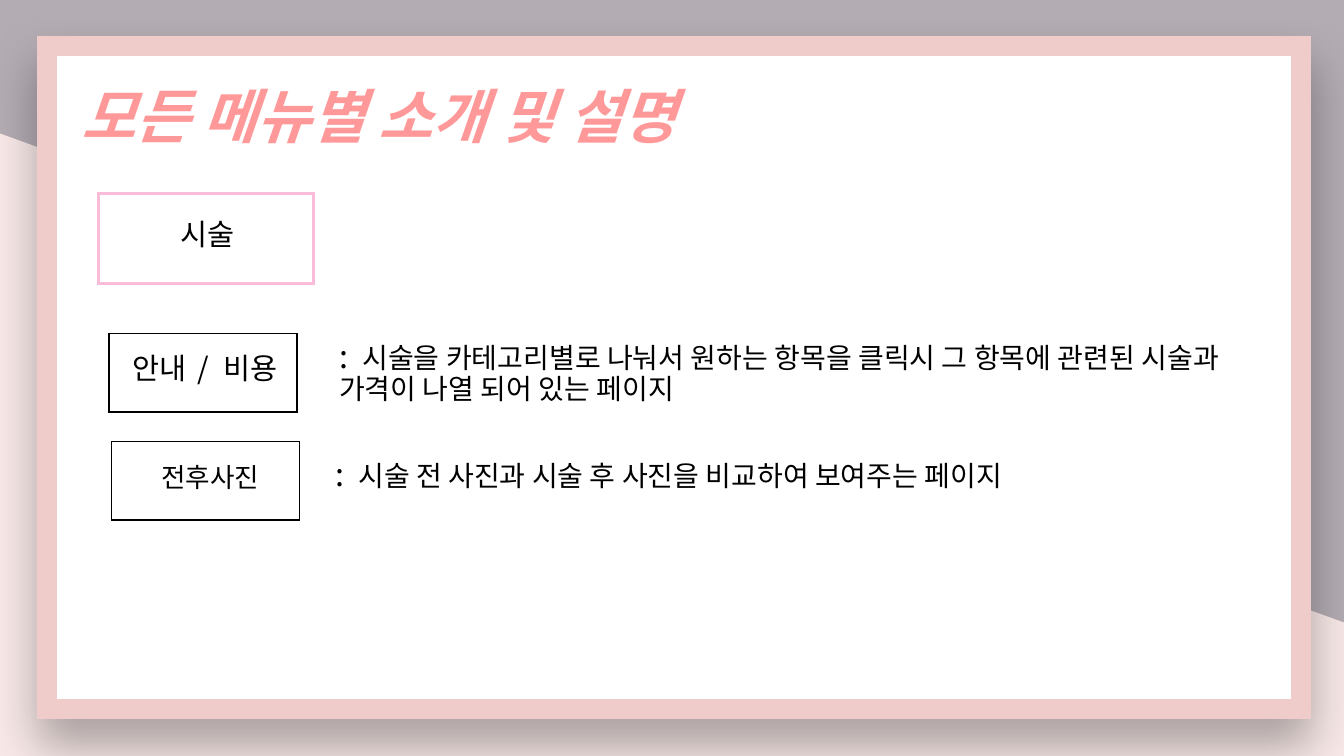
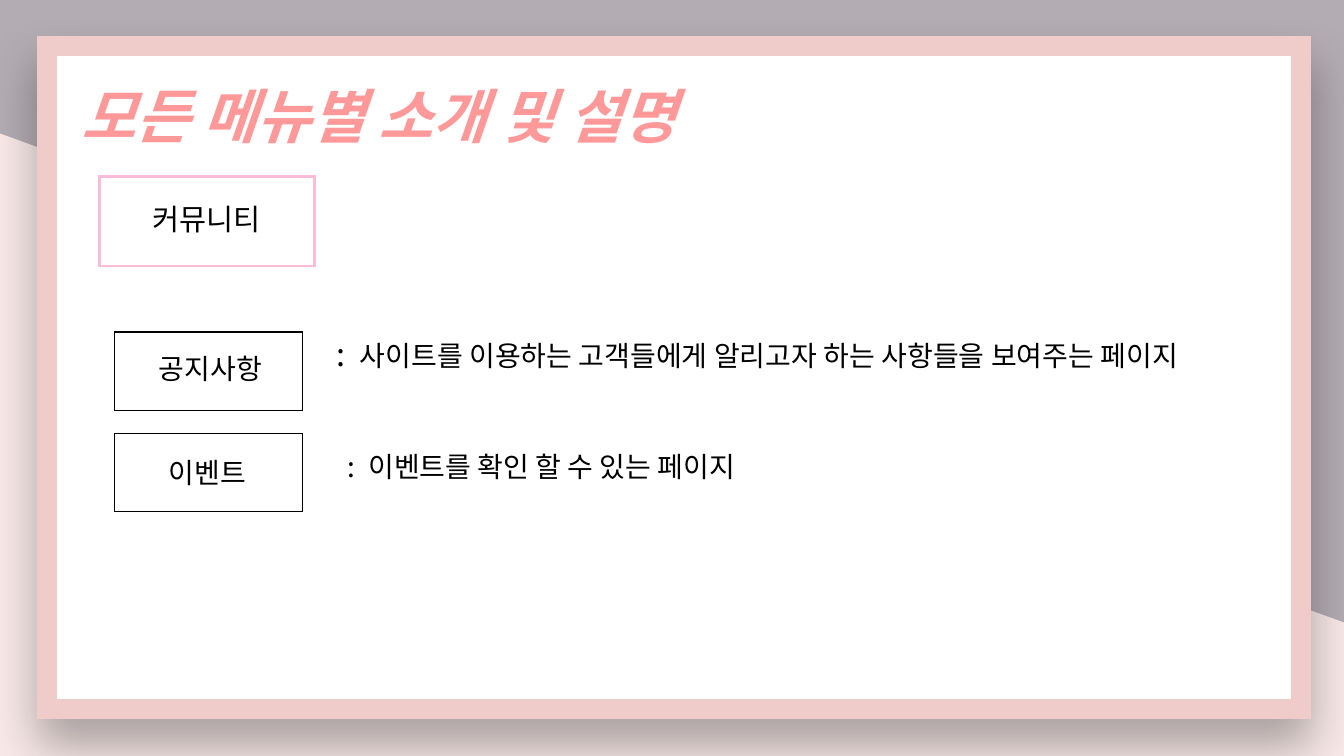
from dataclasses import dataclass

from lxml.etree import SubElement
from pptx import Presentation
from pptx.dml.color import RGBColor
from pptx.enum.shapes import MSO_SHAPE
from pptx.enum.text import PP_ALIGN
from pptx.oxml.ns import qn
from pptx.util import Inches, Pt

SLIDE_WIDTH, SLIDE_HEIGHT = Inches(13.33), Inches(7.5)
FONT = "Noto Sans CJK KR"
MAUVE, BLUSH, WHITE, ROSE = "B3ACB3", "F8E9E8", "FFFFFF", "EFCCCA"
CORAL, PINK, BLACK = "FF9999", "FBBCD9", "000000"
TITLE = "모든 메뉴별 소개 및 설명"


@dataclass
class Box:
    """A rectangle in percent of the slide's width and height."""

    left: float
    top: float
    width: float
    height: float

    def place(self, right, down, width, height):
        """Return a box offset from this one's top left corner."""
        return Box(self.left + right, self.top + down, width, height)

    def lengths(self):
        """Return left, top, width and height as slide lengths."""
        return (int(self.left * SLIDE_WIDTH / 100), int(self.top * SLIDE_HEIGHT / 100),
                int(self.width * SLIDE_WIDTH / 100), int(self.height * SLIDE_HEIGHT / 100))


@dataclass
class Run:
    """A piece of text with its size and letter spacing in points."""

    text: str
    size: float
    spacing: float = 0


@dataclass
class MenuRow:
    """A menu button with its caption and its description."""

    corner: tuple
    caption: list
    caption_offset: tuple
    description: list
    description_offset: tuple


FRAME = Box(3.5, 6.1, 93.3, 87.7)


def color(hex_string):
    """Turn a hex string into a colour."""
    return RGBColor.from_string(hex_string)


def add_rectangle(slide, box, line_color, line_width, fill_color=None):
    """Draw a square-cornered rectangle, hollow unless a fill is given."""
    shape = slide.shapes.add_shape(MSO_SHAPE.RECTANGLE, *box.lengths())
    shape.shadow.inherit = False
    if fill_color:
        shape.fill.solid()
        shape.fill.fore_color.rgb = color(fill_color)
    else:
        shape.fill.background()
    shape.line.color.rgb = color(line_color)
    shape.line.width = Pt(line_width)
    SubElement(shape.line._get_or_add_ln(), qn("a:miter"), lim="800000")
    return shape


def add_text(slide, box, runs, line_spacing=1.0, alignment=PP_ALIGN.LEFT,
             text_color=BLACK, emphasis=False):
    """Write one wrapped paragraph, run by run."""
    frame = slide.shapes.add_textbox(*box.lengths()).text_frame
    frame.word_wrap = True
    paragraph = frame.paragraphs[0]
    paragraph.alignment = alignment
    paragraph.line_spacing = line_spacing
    for piece in runs:
        run = paragraph.add_run()
        run.text = piece.text
        run.font.size = Pt(piece.size)
        run.font.bold = run.font.italic = emphasis
        run.font.color.rgb = color(text_color)
        run.font.name = FONT
        properties = run._r.get_or_add_rPr()
        SubElement(properties, qn("a:ea"), typeface=FONT)
        if piece.spacing:
            properties.set("spc", str(int(piece.spacing * 100)))


def add_backdrop(slide):
    """Split the background diagonally into two colours."""
    fill = slide.background.fill
    fill.gradient()
    fill.gradient_angle = 250
    for stop, hex_string in zip(fill.gradient_stops, (MAUVE, BLUSH)):
        stop.position = 0.5
        stop.color.rgb = color(hex_string)


def add_frame(slide, box):
    """Draw the framed white panel with its soft shadow and the title."""
    panel = add_rectangle(slide, box, ROSE, 14.75, WHITE)
    effects = panel._element.spPr.find(qn("a:effectLst"))
    shadow = SubElement(effects, qn("a:outerShdw"), blurRad=str(Pt(34)),
                        dist=str(Pt(19)), dir="5400000", algn="ctr", rotWithShape="0")
    tint = SubElement(shadow, qn("a:srgbClr"), val=BLACK)
    SubElement(tint, qn("a:alpha"), val="31000")
    add_text(slide, box.place(1.8, 3.8, 89.3, 10.5), [Run(TITLE, 42)],
             text_color=CORAL, emphasis=True)


def add_button(slide, box, caption, offset, line_color, line_width, line_spacing=0.8):
    """Draw an outlined button and its centred caption."""
    add_rectangle(slide, box, line_color, line_width)
    add_text(slide, box.place(*offset, 16.9, 6.7), caption, line_spacing, PP_ALIGN.CENTER)


def add_menu_row(slide, row):
    """Draw a menu button and the description beside it."""
    box = Box(*row.corner, 14, 10.4)
    add_button(slide, box, row.caption, row.caption_offset, BLACK, 1)
    add_text(slide, box.place(*row.description_offset, 68.5, 11.3), row.description, 0.9)


def add_menu_slide(presentation, heading, corner, offset, line_spacing, rows):
    """Build one slide: a menu heading and the pages below it."""
    slide = presentation.slides.add_slide(presentation.slide_layouts[6])
    add_backdrop(slide)
    add_frame(slide, FRAME)
    add_button(slide, Box(*corner, 16, 11.9), [Run(heading, 21)], offset, PINK, 2, line_spacing)
    for row in rows:
        add_menu_row(slide, row)


def describe(text, colon_size=23):
    """Return the runs of a description led by a colon."""
    return [Run(": ", colon_size, 2.5), Run(text, 20)]


TREATMENT_ROWS = [
    MenuRow((8.1, 44.1), [Run("안내", 21), Run(" / ", 21, 3), Run("비용", 21)], (-1.3, 2.5),
            describe("시술을 카테고리별로 나눠서 원하는 항목을 클릭시 그 항목에 관련된 시술과 "
                     "가격이 나열 되어 있는 페이지"), (16.4, 0.3)),
    MenuRow((8.3, 58.4), [Run("전후사진", 19)], (-1.1, 2.7),
            describe("시술 전 사진과 시술 후 사진을 비교하여 보여주는 페이지"), (15.9, 1.6)),
]
COMMUNITY_ROWS = [
    MenuRow((8.5, 43.9), [Run("공지사항", 20)], (-1.3, 2.8),
            describe("사이트를 이용하는 고객들에게 알리고자 하는 사항들을 보여주는 페이지"),
            (15.8, 0.3)),
    MenuRow((8.5, 57.3), [Run("이벤트", 20)], (-1.5, 3.1),
            describe("이벤트를 확인 할 수 있는 페이지", 20), (16.6, 2)),
]


def main():
    """Build and save the presentation."""
    presentation = Presentation()
    presentation.slide_width, presentation.slide_height = SLIDE_WIDTH, SLIDE_HEIGHT
    add_menu_slide(presentation, "시술", (7.3, 25.6), (-0.3, 2.8), 0.9, TREATMENT_ROWS)
    add_menu_slide(presentation, "커뮤니티", (7.4, 23.3), (-0.5, 3.6), 0.8, COMMUNITY_ROWS)
    presentation.save("out.pptx")


if __name__ == "__main__":
    main()
